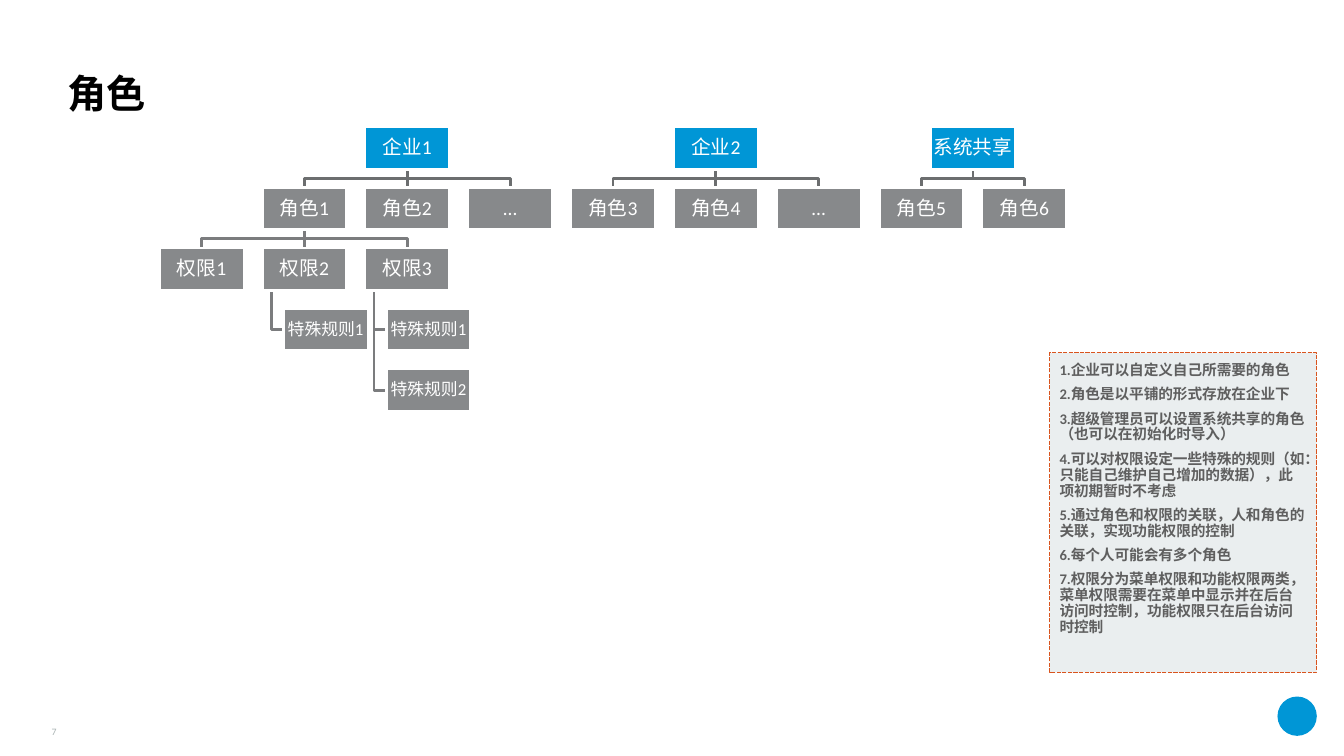
from collections import namedtuple

from lxml.etree import SubElement
from pptx import Presentation
from pptx.dml.color import RGBColor
from pptx.enum.dml import MSO_LINE
from pptx.enum.shapes import MSO_CONNECTOR, MSO_SHAPE
from pptx.enum.text import MSO_ANCHOR, PP_ALIGN
from pptx.oxml.ns import qn
from pptx.util import Inches, Pt

Node = namedtuple("Node", "text column row parent")

BOX_WIDTH, BOX_HEIGHT = 0.84, 0.42
CHART_LEFT, CHART_TOP = 1.58, 1.26
COLUMN_STEP, ROW_STEP = 1.02, 0.6
RULE_ROW, RULE_INDENT, TRUNK_OFFSET = 3, 0.21, 0.09

NODES = [
    Node("企业1", 2, 0, None),
    Node("企业2", 5, 0, None),
    Node("系统共享", 7.5, 0, None),
    Node("角色1", 1, 1, 0),
    Node("角色2", 2, 1, 0),
    Node("…", 3, 1, 0),
    Node("角色3", 4, 1, 1),
    Node("角色4", 5, 1, 1),
    Node("…", 6, 1, 1),
    Node("角色5", 7, 1, 2),
    Node("角色6", 8, 1, 2),
    Node("权限1", 0, 2, 3),
    Node("权限2", 1, 2, 3),
    Node("权限3", 2, 2, 3),
    Node("特殊规则1", 1, 3, 12),
    Node("特殊规则1", 2, 3, 13),
    Node("特殊规则2", 2, 4, 13),
]

NOTES = [
    "1.企业可以自定义自己所需要的角色",
    "2.角色是以平铺的形式存放在企业下",
    "3.超级管理员可以设置系统共享的角色（也可以在初始化时导入）",
    "4.可以对权限设定一些特殊的规则（如：只能自己维护自己增加的数据），此项初期暂时不考虑",
    "5.通过角色和权限的关联，人和角色的关联，实现功能权限的控制",
    "6.每个人可能会有多个角色",
    "7.权限分为菜单权限和功能权限两类，菜单权限需要在菜单中显示并在后台访问时控制，功能权限只在后台访问时控制",
]


def color(value):
    return RGBColor.from_string(value)


def write_text(shape, lines, size, font_color, bold=False, align=PP_ALIGN.LEFT,
               anchor=MSO_ANCHOR.TOP, inset=0, space_before=0, line_spacing=0.9):
    frame = shape.text_frame
    frame.word_wrap = True
    frame.vertical_anchor = anchor
    frame.margin_left = frame.margin_right = Inches(inset)
    frame.margin_top = frame.margin_bottom = Inches(inset)
    for index, line in enumerate(lines):
        paragraph = frame.add_paragraph() if index else frame.paragraphs[0]
        paragraph.alignment = align
        paragraph.line_spacing = line_spacing
        paragraph.space_before = Pt(space_before)
        run = paragraph.add_run()
        run.text = line
        run.font.name = "Calibri"
        run.font.size = Pt(size)
        run.font.bold = bold
        run.font.color.rgb = color(font_color)


def add_label(slide, text, left, top, width, height, **text_format):
    box = slide.shapes.add_textbox(Inches(left), Inches(top), Inches(width), Inches(height))
    write_text(box, [text], anchor=MSO_ANCHOR.BOTTOM, **text_format)


def add_panel(slide, left, top, width, height, fill, line, line_width, kind=MSO_SHAPE.RECTANGLE):
    panel = slide.shapes.add_shape(kind, Inches(left), Inches(top), Inches(width), Inches(height))
    panel.shadow.inherit = False
    panel.fill.solid()
    panel.fill.fore_color.rgb = color(fill)
    panel.line.color.rgb = color(line)
    panel.line.width = Pt(line_width)
    return panel


def node_position(node):
    indent = RULE_INDENT if node.row >= RULE_ROW else 0
    return CHART_LEFT + node.column * COLUMN_STEP + indent, CHART_TOP + node.row * ROW_STEP


def add_node(slide, node):
    left, top = node_position(node)
    fill = "0096D6" if node.parent is None else "87898B"
    box = add_panel(slide, left, top, BOX_WIDTH, BOX_HEIGHT, fill, "FFFFFF", 2)
    write_text(box, [node.text], 12 if node.row >= RULE_ROW else 14, "FFFFFF",
               align=PP_ALIGN.CENTER, anchor=MSO_ANCHOR.MIDDLE, inset=0.01)
    return box


def link_points(parent, child):
    left, top = node_position(parent)
    child_left, child_top = node_position(child)
    bottom = top + BOX_HEIGHT
    if child.row >= RULE_ROW:
        trunk, middle = left + TRUNK_OFFSET, child_top + BOX_HEIGHT / 2
        return [(trunk, bottom), (trunk, middle), (child_left, middle)]
    start, end = left + BOX_WIDTH / 2, child_left + BOX_WIDTH / 2
    if parent.column == child.column:
        return [(start, bottom), (start, child_top)]
    branch = (bottom + child_top) / 2
    return [(start, bottom), (start, branch), (end, branch), (end, child_top)]


def add_link(slide, parent, child):
    points = [(Inches(x), Inches(y)) for x, y in link_points(parent, child)]
    straight = len(points) == 2
    if straight:
        link = slide.shapes.add_connector(MSO_CONNECTOR.STRAIGHT, *points[0], *points[1])
    else:
        builder = slide.shapes.build_freeform(*points[0])
        builder.add_line_segments(points[1:], close=False)
        link = builder.convert_to_shape()
        link.fill.background()
        link.shadow.inherit = False
    link.line.color.rgb = color("6C6E6F" if child.row == 1 else "7B7C7E")
    link.line.width = Pt(2)
    if straight:
        SubElement(link._element.spPr, qn("a:effectLst"))
        return link
    return None


def add_role_chart(slide):
    links = [(child, add_link(slide, NODES[child.parent], child))
             for child in NODES if child.parent is not None]
    boxes = {node: add_node(slide, node) for node in NODES}
    for child, connector in links:
        if connector is not None:
            connector.begin_connect(boxes[NODES[child.parent]], 2)
            connector.end_connect(boxes[child], 0)


def add_notes_panel(slide):
    panel = add_panel(slide, 10.41, 3.5, 2.65, 3.17, "EAEEEF", "D9541E", 1)
    panel.line.dash_style = MSO_LINE.SQUARE_DOT
    write_text(panel, NOTES, 10.5, "5F5F5F", bold=True, inset=0.1, space_before=6)


def main():
    presentation = Presentation()
    presentation.slide_width = Inches(13.33)
    presentation.slide_height = Inches(7.5)
    slide = presentation.slides.add_slide(presentation.slide_layouts[6])
    badge = add_panel(slide, 12.67, 6.91, 0.39, 0.39, "0096D6", "0096D6", 1, MSO_SHAPE.OVAL)
    badge.line.fill.background()
    add_label(slide, "角色", 0.67, 0.33, 12, 0.83, size=28, font_color="000000", bold=True)
    add_role_chart(slide)
    add_notes_panel(slide)
    add_label(slide, "7", 0.23, 7.08, 0.33, 0.24, size=7, font_color="A8B2B2",
              align=PP_ALIGN.RIGHT, line_spacing=1)
    presentation.save("out.pptx")


if __name__ == "__main__":
    main()
